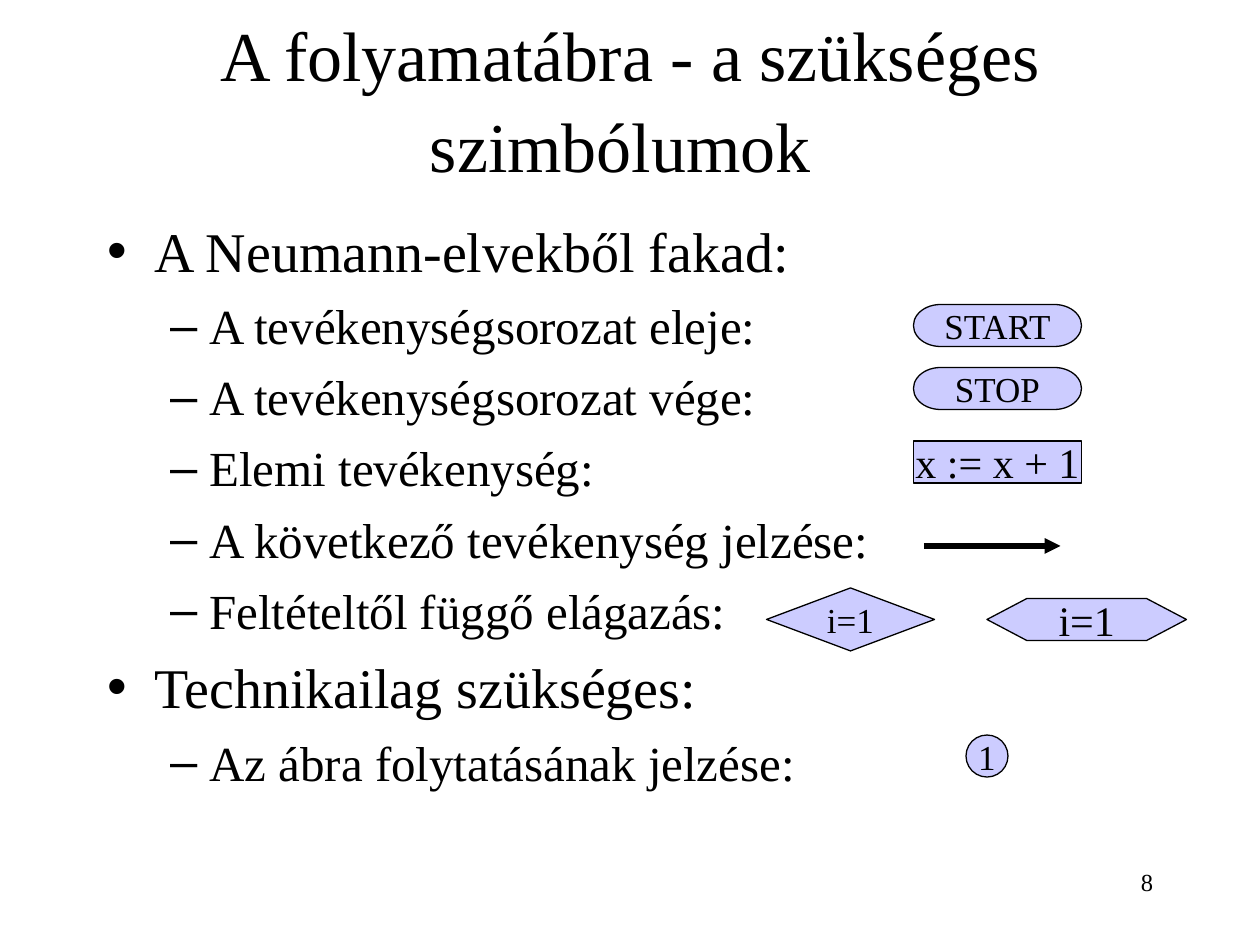
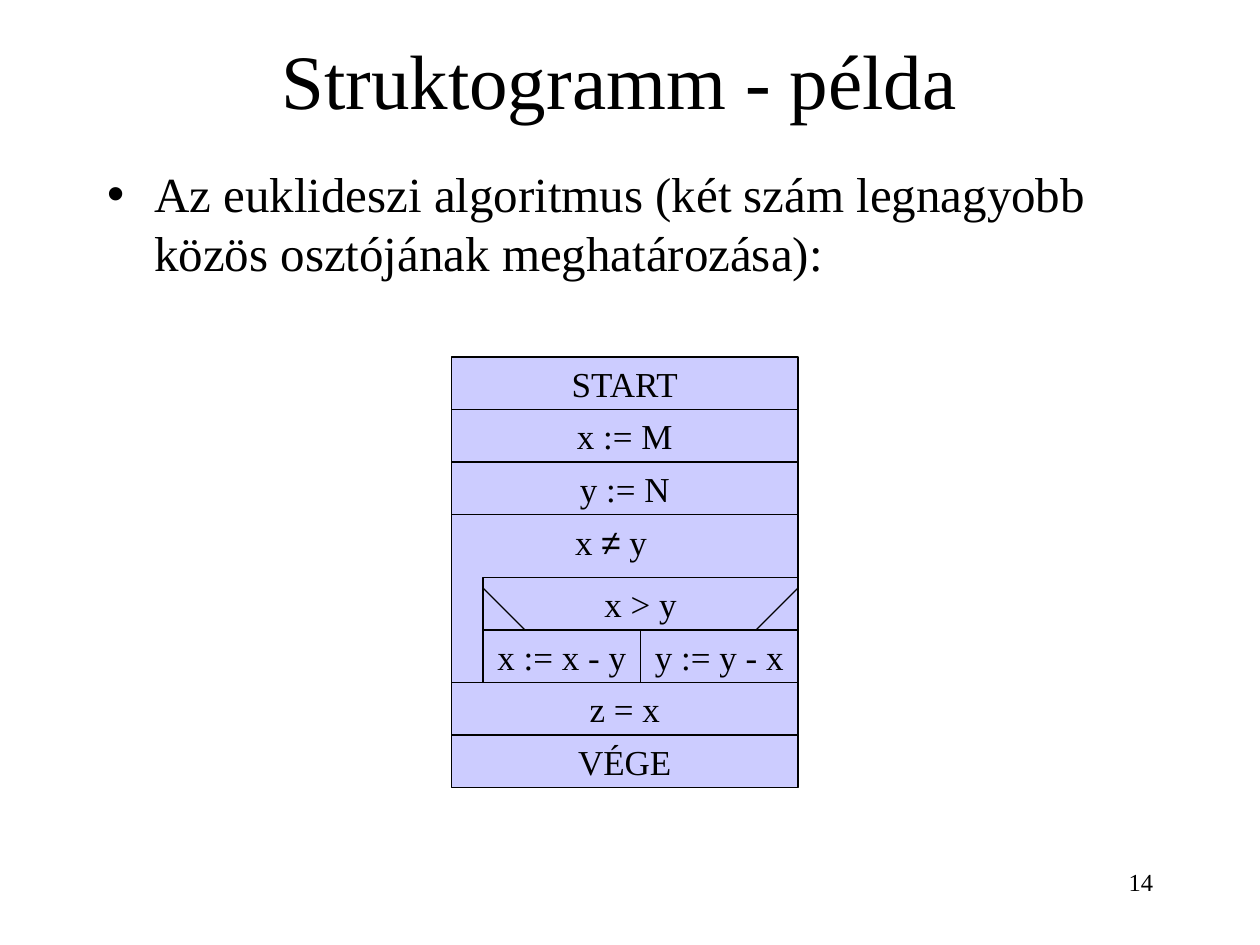
from dataclasses import dataclass

from lxml import etree
from pptx import Presentation
from pptx.dml.color import RGBColor
from pptx.enum.shapes import MSO_CONNECTOR, MSO_SHAPE as SHAPE
from pptx.enum.text import MSO_ANCHOR as ANCHOR, MSO_AUTO_SIZE as FIT, PP_ALIGN as ALIGN
from pptx.oxml.ns import qn
from pptx.util import Inches, Pt


@dataclass(frozen=True)
class Theme:
    ink: RGBColor = RGBColor(0, 0, 0)
    symbol: RGBColor = RGBColor(0xCC, 0xCC, 0xFF)
    font: str = "Times New Roman"
    math_font: str = "Arial"
    title: int = 44
    long_title: int = 40
    heading: int = 32
    item: int = 28
    formula: int = 24
    label: int = 20
    number: int = 14
    outline: float = 0.75
    arrow: int = 3


THEME = Theme()
UNIT = 12  # grid steps per inch; every place below is in grid steps
PAGE_NUMBER_BOX = (86, 82, 25, 6)

# Body items: (level, size, space before, text)
HEAD = (0, THEME.heading, 8)
ITEM = (1, THEME.item, 7)
SYMBOLS = {
    "number": "8",
    "title": [("A folyamatábra - a szükséges szimbólumok", THEME.long_title),
              (" ", THEME.title)],
    "title_box": (9, 2, 102, 15),
    "body_box": (9, 20, 102, 60),
    "body": [
        (*HEAD, "A Neumann-elvekből fakad:"),
        (*ITEM, "A tevékenységsorozat eleje:"),
        (*ITEM, "A tevékenységsorozat vége:"),
        (*ITEM, "Elemi tevékenység:"),
        (*ITEM, "A következő tevékenység jelzése:"),
        (*ITEM, "Feltételtől függő elágazás:"),
        (*HEAD, "Technikailag szükséges:"),
        (*ITEM, "Az ábra folytatásának jelzése:"),
    ],
}
FLOW_SYMBOLS = [
    (SHAPE.FLOWCHART_TERMINATOR, (87, 29, 16, 4), "START", THEME.label),
    (SHAPE.FLOWCHART_TERMINATOR, (87, 35, 16, 4), "STOP", THEME.label),
    (SHAPE.RECTANGLE, (87, 42, 16, 4), "x := x + 1", THEME.formula),
    (SHAPE.FLOWCHART_DECISION, (73, 56, 16, 6), "i=1", THEME.label),
    (SHAPE.FLOWCHART_PREPARATION, (94, 57, 19, 4), "i=1", THEME.formula),
    (SHAPE.FLOWCHART_CONNECTOR, (92, 70, 4, 4), "1", THEME.label),
]
NEXT_STEP_ARROW = ((88, 52), (101, 52))

EXAMPLE = {
    "number": "14",
    "title": [("Struktogramm - példa", THEME.title)],
    "title_box": (8, 0, 102, 15),
    "body_box": (9, 15, 102, 65),
    "body": [(0, THEME.item, 7, "Az euklideszi algoritmus (két szám legnagyobb "
                                "közös osztójának meghatározása):")],
}
BEFORE_LOOP = ["START", "x := M", "y := N"]
LOOP_TEST = [("x ", THEME.font), ("≠", THEME.math_font), (" y", THEME.font)]
BRANCH_TEST = "x > y"
BRANCHES = ["x := x - y", "y := y - x"]
AFTER_LOOP = ["z = x", "VÉGE"]
CHART_LEFT, CHART_TOP, CHART_WIDTH = 43, 34, 33
ROW, LOOP_HEAD, LOOP_INDENT, CORNER = 5, 6, 3, 4


def grid(*steps):
    return [Inches(step / UNIT) for step in steps]


def set_font(font, size, name=THEME.font):
    font.name, font.size = name, Pt(size)
    font.color.rgb = THEME.ink


def place(sp, box):
    sp.left, sp.top, sp.width, sp.height = grid(*box)


def add_text_box(slide, box, align=ALIGN.LEFT, wrap=True):
    """Add an empty text box and return its first paragraph."""
    tf = slide.shapes.add_textbox(*grid(*box)).text_frame
    tf.word_wrap = wrap
    p = tf.paragraphs[0]
    p.alignment = align
    return p


def add_symbol(slide, kind, box, text="", size=THEME.label):
    sp = slide.shapes.add_shape(kind, *grid(*box))
    sp.shadow.inherit = False
    sp.fill.solid()
    sp.fill.fore_color.rgb = THEME.symbol
    sp.line.color.rgb = THEME.ink
    sp.line.width = Pt(THEME.outline)
    if text:
        tf = sp.text_frame
        tf.word_wrap, tf.vertical_anchor = False, ANCHOR.MIDDLE
        p = tf.paragraphs[0]
        p.text, p.alignment = text, ALIGN.CENTER
        set_font(p.font, size)


def add_line(slide, start, end, width=THEME.outline, arrow=False):
    line = slide.shapes.add_connector(MSO_CONNECTOR.STRAIGHT, *grid(*start, *end))
    line.line.color.rgb = THEME.ink
    line.line.width = Pt(width)
    if arrow:
        etree.SubElement(line.line._get_or_add_ln(), qn("a:tailEnd"), type="triangle")
    etree.SubElement(line._element.spPr, qn("a:effectLst"))


def add_slide(prs, content):
    """Add a slide with its page number, title and bulleted body."""
    slide = prs.slides.add_slide(prs.slide_layouts[1])
    title, body = slide.placeholders
    place(title, content["title_box"])
    place(body, content["body_box"])
    for sp, anchor in ((title, ANCHOR.MIDDLE), (body, ANCHOR.TOP)):
        tf = sp.text_frame
        tf.auto_size, tf.word_wrap, tf.vertical_anchor = FIT.NONE, True, anchor

    p = title.text_frame.paragraphs[0]
    p.alignment = ALIGN.CENTER
    for text, size in content["title"]:
        r = p.add_run()
        r.text = text
        set_font(r.font, size)

    tf = body.text_frame
    for i, (level, size, before, text) in enumerate(content["body"]):
        p = tf.add_paragraph() if i else tf.paragraphs[0]
        p.text, p.level = text, level
        p.space_before = Pt(before if i else 0)
        set_font(p.font, size)

    p = add_text_box(slide, PAGE_NUMBER_BOX, ALIGN.RIGHT)
    p.text = content["number"]
    set_font(p.font, THEME.number)
    return slide


def add_rows(slide, top, texts):
    """Stack full-width rows and return the bottom of the last one."""
    for text in texts:
        add_symbol(slide, SHAPE.RECTANGLE, (CHART_LEFT, top, CHART_WIDTH, ROW), text)
        top += ROW
    return top


def add_loop(slide, top):
    """Draw the loop with its two-way branch and return its bottom."""
    height = LOOP_HEAD + 2 * ROW
    add_symbol(slide, SHAPE.RECTANGLE, (CHART_LEFT, top, CHART_WIDTH, height))
    p = add_text_box(slide, (53.6, top, 10.1, ROW), wrap=False)
    for text, font in LOOP_TEST:
        r = p.add_run()
        r.text = text
        set_font(r.font, THEME.label, font)

    left, right = CHART_LEFT + LOOP_INDENT, CHART_LEFT + CHART_WIDTH
    test_top = top + LOOP_HEAD
    branch_top = test_top + ROW
    add_symbol(slide, SHAPE.RECTANGLE, (left, test_top, right - left, ROW), BRANCH_TEST)
    width = (right - left) / len(BRANCHES)
    for i, text in enumerate(BRANCHES):
        add_symbol(slide, SHAPE.RECTANGLE, (left + i * width, branch_top, width, ROW), text)
    for edge, inward in ((left, CORNER), (right, -CORNER)):
        add_line(slide, (edge, branch_top - CORNER), (edge + inward, branch_top))
    return top + height


def main():
    prs = Presentation()
    prs.slide_width, prs.slide_height = Inches(10), Inches(7.5)

    slide = add_slide(prs, SYMBOLS)
    for symbol in FLOW_SYMBOLS:
        add_symbol(slide, *symbol)
    add_line(slide, *NEXT_STEP_ARROW, width=THEME.arrow, arrow=True)

    slide = add_slide(prs, EXAMPLE)
    loop_top = add_rows(slide, CHART_TOP, BEFORE_LOOP)
    add_rows(slide, add_loop(slide, loop_top), AFTER_LOOP)

    prs.save("out.pptx")


if __name__ == "__main__":
    main()
